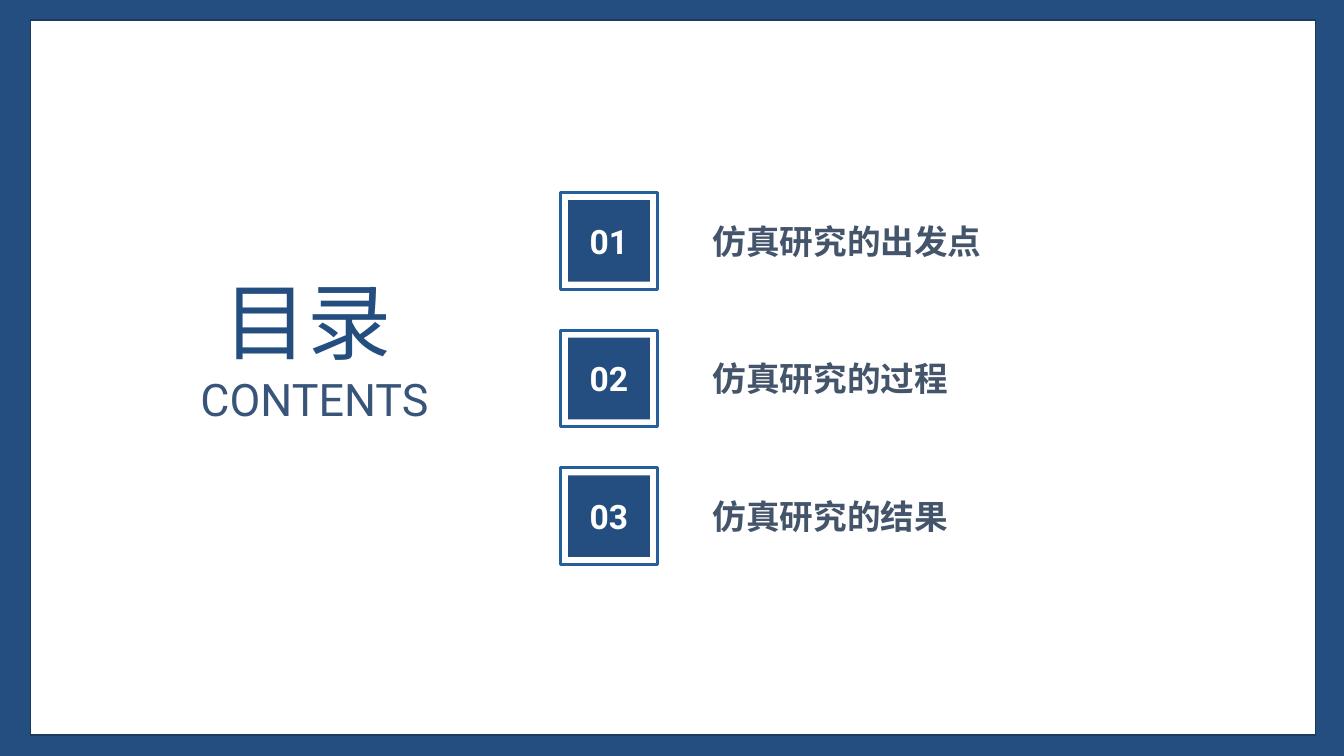
from pptx import Presentation
from pptx.dml.color import RGBColor
from pptx.enum.shapes import MSO_SHAPE as Shape
from pptx.enum.text import MSO_ANCHOR as Anchor, MSO_AUTO_SIZE as AutoSize, PP_ALIGN as Align
from pptx.oxml.ns import qn
from pptx.util import Inches, Pt

# Content
TITLE, SUBTITLE = "目录", "CONTENTS"
CHAPTERS = ["仿真研究的出发点", "仿真研究的过程", "仿真研究的结果"]

COLORS = {"navy": "244E7F", "edge": "1B3A5E", "frame": "26609A",
          "subtitle": "385479", "chapter": "44546A", "white": "FFFFFF"}
CJK, LATIN = "Noto Sans CJK SC", "Roboto"
STYLES = {
    "title": (CJK, "navy", Align.LEFT, {"size": Pt(60), "bold": False}),
    "subtitle": (LATIN, "subtitle", Align.CENTER, {"size": Pt(32), "bold": False}),
    "number": (LATIN, "white", Align.CENTER, {"size": Pt(24), "bold": True}),
    "chapter": (CJK, "chapter", Align.LEFT, {"size": Pt(24), "bold": True}),
}

# Layout, in inches
FIRST_CENTER, ROW_STEP = 2.39, 1.365
BADGE_CENTER, BADGE, FRAME = 6.04, 0.81, 0.96
NUMBER_W, LABEL_LEFT, LABEL_W, TEXT_H = 0.77, 6.97, 3.62, 0.5


def color(name):
    return RGBColor.from_string(COLORS[name])


def write(holder, text, style):
    font_name, ink, align, formats = STYLES[style]
    frame = holder.text_frame
    frame.text = text
    frame.auto_size = AutoSize.NONE
    frame.word_wrap = True
    frame.vertical_anchor = Anchor.MIDDLE
    paragraph = frame.paragraphs[0]
    paragraph.alignment = align
    font = paragraph.runs[0].font
    for key, value in {"name": font_name, **formats}.items():
        setattr(font, key, value)
    font.color.rgb = color(ink)
    # East Asian glyphs take their face from a:ea
    east_asian = paragraph.runs[0]._r.rPr.makeelement(qn("a:ea"), {"typeface": font_name})
    paragraph.runs[0]._r.rPr.append(east_asian)


def add_text(box, text, style):
    write(slide.shapes.add_textbox(*map(Inches, box)), text, style)


def add_rect(box, fill=None, line=None, width=1):
    rect = slide.shapes.add_shape(Shape.RECTANGLE, *map(Inches, box))
    rect.shadow.inherit = False
    if fill:
        rect.fill.solid()
        rect.fill.fore_color.rgb = color(fill)
    else:
        rect.fill.background()
    if line:
        rect.line.color.rgb = color(line)
        rect.line.width = Pt(width)
    else:
        rect.line.fill.background()
    return rect


def centered(x, y, width, height):
    return x - width / 2, y - height / 2, width, height


deck = Presentation()
deck.slide_width, deck.slide_height = Inches(13.33), Inches(7.5)
slide = deck.slides.add_slide(deck.slide_layouts[5])
slide.background.fill.solid()
slide.background.fill.fore_color.rgb = color("navy")

# White page, placed behind the title
page = add_rect((0.3, 0.2, 12.75, 7.09), "white", "edge")
title = slide.shapes.title
title._element.addprevious(page._element)

# Heading
title.left, title.top, title.width, title.height = map(Inches, (2.12, 2.62, 2.12, 1.11))
write(title, TITLE, "title")
add_text((1.87, 3.63, 2.5, 0.64), SUBTITLE, "subtitle")

# Chapter rows: framed number badge and name
for index, chapter in enumerate(CHAPTERS):
    middle = FIRST_CENTER + index * ROW_STEP
    add_rect(centered(BADGE_CENTER, middle, BADGE, BADGE), "navy")
    add_rect(centered(BADGE_CENTER, middle, FRAME, FRAME), line="frame", width=2.25)
    add_text(centered(BADGE_CENTER, middle, NUMBER_W, TEXT_H), f"{index + 1:02}", "number")
    add_text((LABEL_LEFT, middle - TEXT_H / 2, LABEL_W, TEXT_H), chapter, "chapter")

deck.save("out.pptx")
